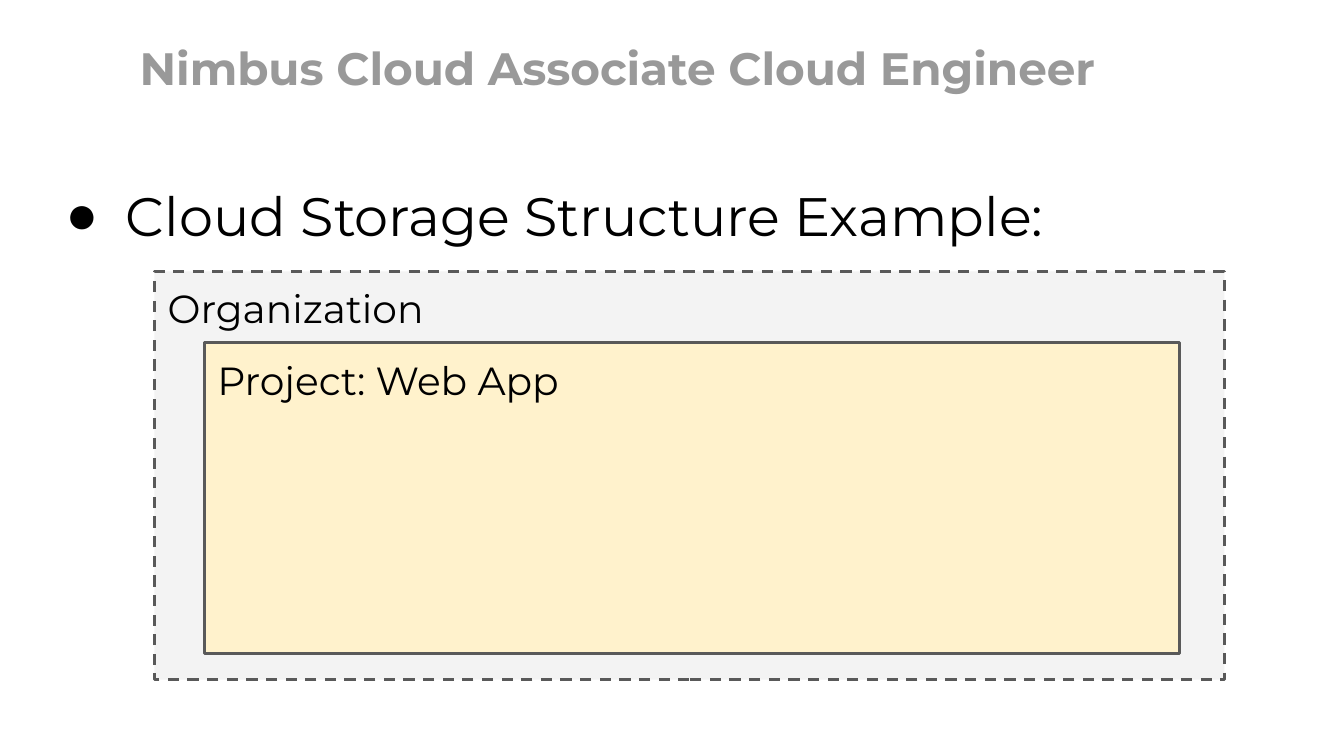
from dataclasses import dataclass
from lxml.etree import SubElement
from pptx import Presentation
from pptx.dml.color import RGBColor
from pptx.enum.dml import MSO_LINE
from pptx.enum.shapes import MSO_SHAPE
from pptx.enum.text import MSO_ANCHOR, MSO_AUTO_SIZE, PP_ALIGN
from pptx.oxml.ns import qn
from pptx.util import Cm, Pt


@dataclass(frozen=True)
class Theme:
    font: str = "Montserrat"
    ink: str = "000000"
    muted: str = "999999"
    edge: str = "595959"
    outer: str = "F3F3F3"
    inner: str = "FFF2CC"
    title: float = 24.3
    body: float = 29
    label: float = 21
    inset: float = 0.25
    stroke: float = 1.5


THEME = Theme()


def color(code):
    return RGBColor.from_string(code)


def place(shape, box):
    shape.left, shape.top, shape.width, shape.height = map(Cm, box)


def write(shape, text, size, ink=THEME.ink, bold=False, anchor=MSO_ANCHOR.TOP):
    frame = shape.text_frame
    frame.text = text
    frame.word_wrap = True
    frame.auto_size = MSO_AUTO_SIZE.NONE
    frame.vertical_anchor = anchor
    frame.margin_left = frame.margin_right = Cm(THEME.inset)
    frame.margin_top = frame.margin_bottom = Cm(THEME.inset)
    for para in frame.paragraphs:
        para.alignment = PP_ALIGN.LEFT
        para.line_spacing = 1.0
        para.space_before = Pt(0)
        para.font.name = THEME.font
        para.font.size = Pt(size)
        para.font.bold = bold
        para.font.color.rgb = color(ink)


def add_title(slide, text, box):
    title = slide.shapes.title
    place(title, box)
    write(title, text, THEME.title, THEME.muted, True, MSO_ANCHOR.BOTTOM)


def add_list(slide, items, box):
    body = slide.placeholders[1]
    place(body, box)
    write(body, "\n".join(items), THEME.body)
    for para in body.text_frame.paragraphs:
        props = para._p.get_or_add_pPr()
        props.set("marL", str(Cm(1.27)))
        props.set("indent", str(Cm(-1.14)))
        font = props.find(qn("a:defRPr"))
        bullet = SubElement(props, qn("a:buChar"), char="●")
        font.addprevious(bullet)


def add_box(slide, text, box, fill, dash=MSO_LINE.SOLID):
    shape = slide.shapes.add_shape(MSO_SHAPE.RECTANGLE, *map(Cm, box))
    shape.shadow.inherit = False
    shape.fill.solid()
    shape.fill.fore_color.rgb = color(fill)
    shape.line.color.rgb = color(THEME.edge)
    shape.line.width = Pt(THEME.stroke)
    shape.line.dash_style = dash
    write(shape, text, THEME.label)


def main():
    deck = Presentation()
    deck.slide_width, deck.slide_height = Cm(25.4), Cm(14.29)
    slide = deck.slides.add_slide(deck.slide_layouts[1])
    add_title(slide, "Nimbus Cloud Associate Cloud Engineer", (2.39, 0.43, 21.64, 1.6))
    add_list(slide, ["Cloud Storage Structure Example:"], (0.86, 3.2, 24.13, 9.98))
    add_box(slide, "Organization", (2.92, 5.13, 20.22, 7.72), THEME.outer, MSO_LINE.DASH)
    add_box(slide, "Project: Web App", (3.86, 6.48, 18.44, 5.87), THEME.inner)
    deck.save("out.pptx")


if __name__ == "__main__":
    main()
